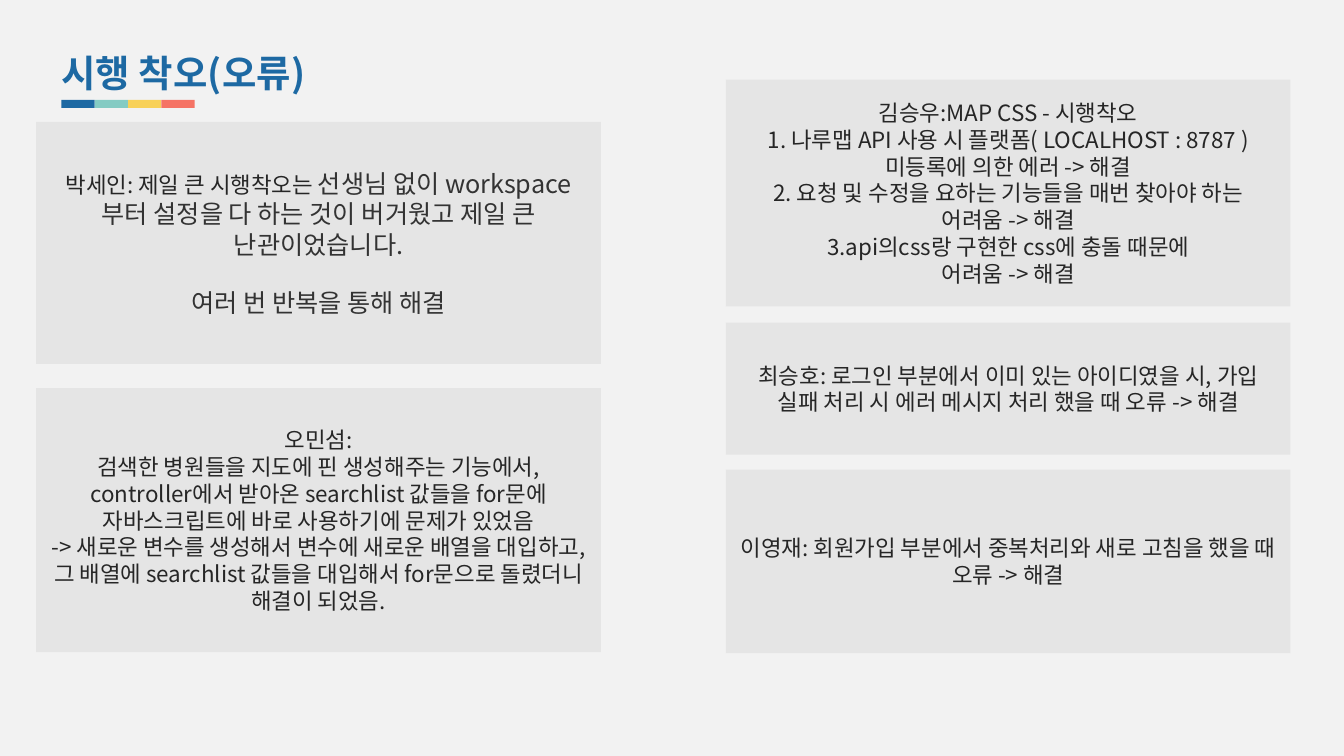
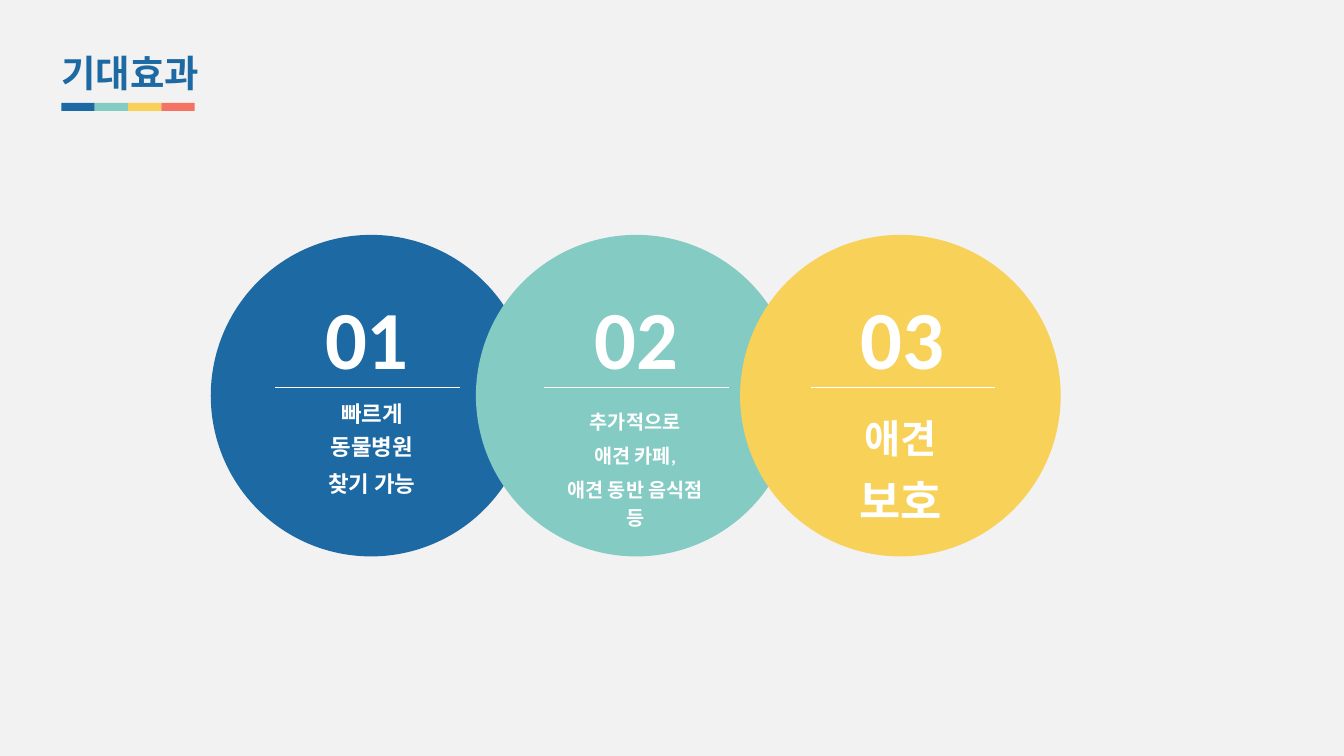
from lxml import etree
from pptx import Presentation
from pptx import util as u
from pptx.dml.color import RGBColor
from pptx.enum import shapes, text
from pptx.oxml.ns import qn

COLORS = {
    "background": "F2F2F2", "blue": "1D69A3", "teal": "84CBC3",
    "yellow": "F8D158", "coral": "F57365", "panel": "D9D9D9",
    "ink": "262626", "soft_ink": "333333", "white": "FFFFFF",
}
KOREAN = "Noto Sans CJK KR"
LATIN = "Calibri"


def rgb(name):
    return RGBColor.from_string(COLORS[name])


def add_run(paragraph, words, size, color, font=KOREAN, bold=False):
    run = paragraph.add_run()
    run.text = words
    run.font.size = u.Pt(size)
    run.font.name = font
    run.font.bold = bold
    run.font.color.rgb = rgb(color)
    east_asian = etree.SubElement(run.font._element, qn("a:ea"))
    east_asian.set("typeface", font)


def fill_text(frame, paragraphs, color, font=KOREAN, bold=False,
              align=text.PP_ALIGN.CENTER, line_spacing=None, space_before=0):
    """Each paragraph is a list of (words, size) or (words, size, color)."""
    for index, runs in enumerate(paragraphs):
        paragraph = frame.add_paragraph() if index else frame.paragraphs[0]
        paragraph.alignment = align
        if line_spacing:
            paragraph.line_spacing = line_spacing
        if index and space_before:
            paragraph.space_before = u.Pt(space_before)
        for words, size, *own_color in runs:
            add_run(paragraph, words, size, own_color[0] if own_color else color, font, bold)


def add_filled(parent, kind, left, top, width, height, color):
    shape = parent.add_shape(kind, u.Inches(left), u.Inches(top), u.Inches(width), u.Inches(height))
    shape.shadow.inherit = False
    shape.fill.solid()
    shape.fill.fore_color.rgb = rgb(color)
    shape.line.fill.background()
    return shape


def add_label(slide, left, top, width, height, paragraphs, color, **style):
    box = slide.shapes.add_textbox(u.Inches(left), u.Inches(top), u.Inches(width), u.Inches(height))
    frame = box.text_frame
    frame.margin_left = frame.margin_right = frame.margin_top = frame.margin_bottom = 0
    frame.word_wrap = True
    frame.auto_size = text.MSO_AUTO_SIZE.SHAPE_TO_FIT_TEXT
    fill_text(frame, paragraphs, color, bold=True, line_spacing=1.2, **style)


def add_titled_slide(presentation, title, stripe_top):
    slide = presentation.slides.add_slide(presentation.slide_layouts[6])
    slide.background.fill.solid()
    slide.background.fill.fore_color.rgb = rgb("background")
    add_label(slide, 0.61, 0.41, 4.05, 0.5, [[(title, 26.7)]], "blue", align=text.PP_ALIGN.LEFT)
    # Four-colour stripe under the title
    stripe = slide.shapes.add_group_shape()
    for index, color in enumerate(("blue", "teal", "yellow", "coral")):
        add_filled(stripe.shapes, shapes.MSO_SHAPE.RECTANGLE,
                   0.61 + 0.33 * index, stripe_top, 0.33, 0.08, color)
    return slide


def add_panel(slide, left, top, height, paragraphs, space_before=0):
    panel = add_filled(slide.shapes, shapes.MSO_SHAPE.RECTANGLE, left, top, 5.6, height, "panel")
    # Half-transparent fill
    color = panel.fill._xPr.find(qn("a:solidFill"))[0]
    etree.SubElement(color, qn("a:alpha")).set("val", "50000")
    frame = panel.text_frame
    frame.word_wrap = True
    frame.vertical_anchor = text.MSO_ANCHOR.MIDDLE
    fill_text(frame, paragraphs, "ink", space_before=space_before)


def add_circle(slide, left, color, number, line_left, body_box, body):
    top = 2.33
    add_filled(slide.shapes, shapes.MSO_SHAPE.OVAL, left, top, 3.18, 3.19, color)
    style = {"font": LATIN, "space_before": 4}
    add_label(slide, line_left + 0.23, top + 0.32, 1.36, 1.11, [[(number, 59)]], "white", **style)
    # Rule between number and words
    rule_top = u.Inches(top + 1.51)
    rule = slide.shapes.add_connector(shapes.MSO_CONNECTOR.STRAIGHT, u.Inches(line_left), rule_top,
                                      u.Inches(line_left + 1.83), rule_top)
    rule.line.color.rgb = rgb("white")
    rule.line.width = u.Pt(0.5)
    etree.SubElement(rule._element.spPr, qn("a:effectLst"))
    body_left, body_top, body_height = body_box
    add_label(slide, body_left, body_top, 1.36, body_height, body, "white", **style)


def build_errors(presentation):
    slide = add_titled_slide(presentation, "시행 착오(오류)", 0.99)
    left_column, right_column = 0.36, 7.2

    def plain(*lines):
        return [[(line, 16)] for line in lines]

    # Left column
    add_panel(slide, left_column, 1.21, 2.4, [
        [("박세인: 제일 큰 시행착오는 ", 16),
         ("선생님 없이 workspace부터 설정을 다 하는 것이 버거웠고 제일 큰 난관이었습니다.", 18, "soft_ink")],
        [("여러 번 반복을 통해 해결", 18, "soft_ink")],
    ], space_before=20)
    add_panel(slide, left_column, 3.85, 2.62, plain(
        "오민섬:",
        "검색한 병원들을 지도에 핀 생성해주는 기능에서, controller에서 받아온 searchlist 값들을 "
        "for문에 자바스크립트에 바로 사용하기에 문제가 있었음",
        "-> 새로운 변수를 생성해서 변수에 새로운 배열을 대입하고, 그 배열에 searchlist 값들을 "
        "대입해서 for문으로 돌렸더니 해결이 되었음."))
    # Right column
    add_panel(slide, right_column, 0.79, 2.25, plain(
        "김승우:MAP CSS - 시행착오",
        "1. 나루맵 API 사용 시 플랫폼( LOCALHOST : 8787 ) 미등록에 의한 에러 -> 해결",
        "2. 요청 및 수정을 요하는 기능들을 매번 찾아야 하는 어려움 -> 해결",
        "3.api의css랑 구현한 css에 충돌 때문에",
        "어려움 -> 해결"))
    add_panel(slide, right_column, 3.2, 1.31, plain(
        "최승호: 로그인 부분에서 이미 있는 아이디였을 시, 가입 실패 처리 시 에러 메시지 처리 "
        "했을 때 오류 -> 해결"))
    add_panel(slide, right_column, 4.66, 1.82, plain(
        "이영재: 회원가입 부분에서 중복처리와 새로 고침을 했을 때 오류 -> 해결"))


def build_effects(presentation):
    slide = add_titled_slide(presentation, "기대효과", 1.02)
    add_circle(slide, 2.09, "blue", "01", 2.73, (3.01, 3.92, 1),
               [[("빠르게 동물병원", 16)], [("찾기 가능", 16)]])
    add_circle(slide, 4.72, "teal", "02", 5.4, (5.62, 4.02, 1.22),
               [[("추가적으로", 14)], [("애견 카페,", 14)], [("애견 동반 음식점 등", 14)]])
    add_circle(slide, 7.34, "yellow", "03", 8.04, (8.25, 3.95, 1.25),
               [[("애견", 28), (" 보호", 32)]])


def main():
    presentation = Presentation()
    presentation.slide_width = u.Inches(13.33)
    presentation.slide_height = u.Inches(7.5)
    build_errors(presentation)
    build_effects(presentation)
    presentation.save("out.pptx")


if __name__ == "__main__":
    main()
